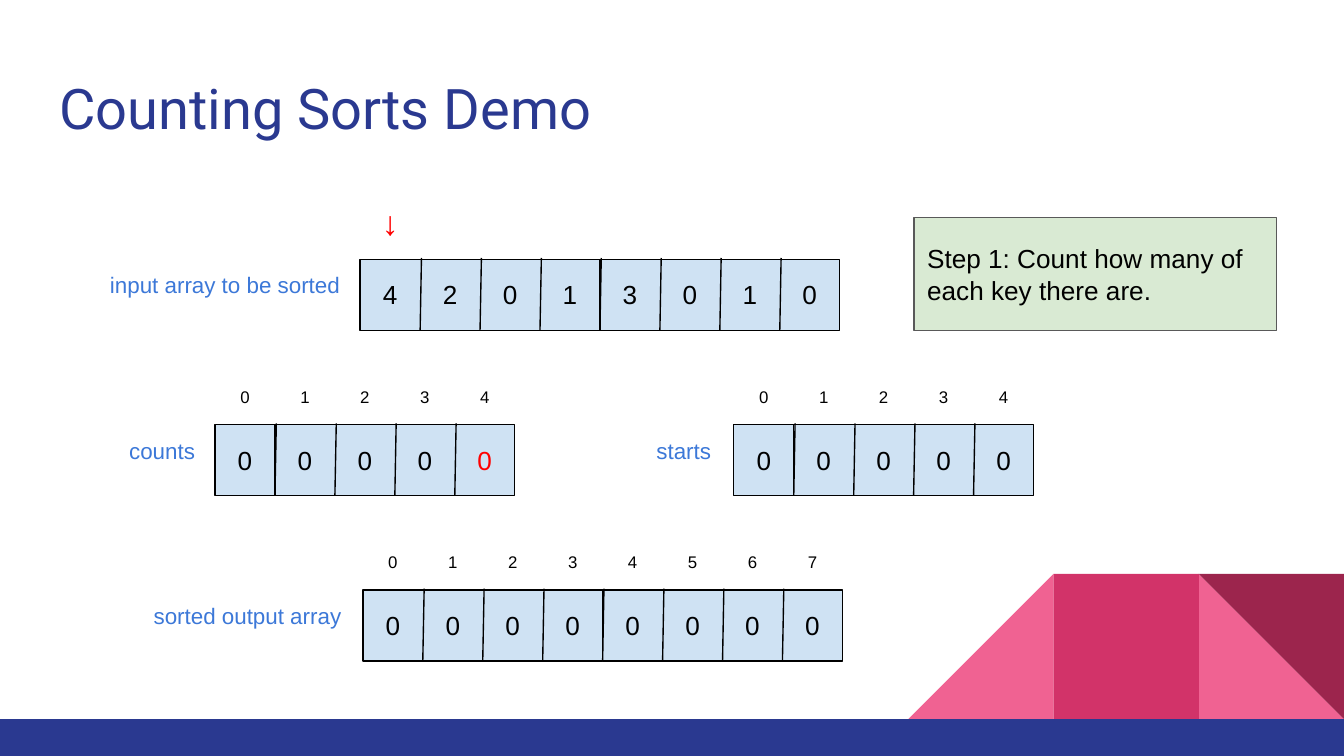
from lxml.etree import SubElement
from pptx import Presentation
from pptx.dml.color import RGBColor
from pptx.enum.shapes import MSO_CONNECTOR, MSO_SHAPE
from pptx.enum.text import MSO_ANCHOR, PP_ALIGN
from pptx.oxml.ns import qn
from pptx.util import Inches, Pt

WIDTH, HEIGHT = 10, 5.625
CELL_W, CELL_H = 0.446, 0.53
BAND_CELLS = 4
ROW_TOPS = [1.93 + 1.23 * row for row in range(3)]
FACET = 1.08
COLORS = {
    "navy": "2A3990", "pink": "F06292", "rose": "D23369", "wine": "9C254D",
    "cell": "CFE2F3", "label": "3C78D8", "note": "D9EAD3", "note_edge": "595959",
    "black": "000000", "red": "FF0000",
}


def rgb(name):
    return RGBColor.from_string(COLORS[name])


def write(shape, text, size=14, color="black", font="Arial",
          align=PP_ALIGN.LEFT, anchor=MSO_ANCHOR.TOP):
    """Put formatted text into a shape."""
    frame = shape.text_frame
    frame.word_wrap = True
    frame.vertical_anchor = anchor
    frame.margin_left = frame.margin_right = Inches(0.1)
    frame.margin_top = frame.margin_bottom = Inches(0.1)
    paragraph = frame.paragraphs[0]
    paragraph.alignment = align
    run = paragraph.add_run()
    run.text = text
    run.font.name = font
    run.font.size = Pt(size)
    run.font.color.rgb = rgb(color)


def add_text(slide, text, left, top, width, height, **style):
    box = slide.shapes.add_textbox(*map(Inches, (left, top, width, height)))
    write(box, text, **style)


def add_block(slide, kind, left, top, width, height, fill, edge=None):
    block = slide.shapes.add_shape(kind, *map(Inches, (left, top, width, height)))
    block.shadow.inherit = False
    block.fill.solid()
    block.fill.fore_color.rgb = rgb(fill)
    if edge:
        block.line.color.rgb = rgb(edge)
        block.line.width = Pt(0.75)
    else:
        block.line.fill.background()
    return block


def add_divider(slide, x, top):
    divider = slide.shapes.add_connector(
        MSO_CONNECTOR.STRAIGHT,
        *map(Inches, (x + 0.01, top - 0.01, x, top + CELL_H)))
    divider.line.color.rgb = rgb("black")
    divider.line.width = Pt(0.75)
    SubElement(divider._element.spPr, qn("a:effectLst"))


def add_array(slide, label, values, left, top, label_left, label_width,
              indexed=True, red_cell=None):
    """Draw a labelled row of cells, with index numbers above if wanted."""
    count = len(values)
    for first in (0, count - BAND_CELLS):
        add_block(slide, MSO_SHAPE.RECTANGLE, left + first * CELL_W, top,
                  BAND_CELLS * CELL_W, CELL_H, "cell", "black")
    for index in range(1, count):
        add_divider(slide, left + index * CELL_W, top)
    for index, value in enumerate(values):
        x = left + index * CELL_W
        add_text(slide, str(value), x, top - 0.01, CELL_W, 0.54,
                 color="red" if index == red_cell else "black",
                 align=PP_ALIGN.CENTER, anchor=MSO_ANCHOR.MIDDLE)
        if indexed:
            add_text(slide, str(index), x, top - 0.36, CELL_W, 0.35,
                     size=9, align=PP_ALIGN.CENTER)
    add_text(slide, label, label_left, top - 0.01, label_width, 0.54,
             size=12, color="label", align=PP_ALIGN.RIGHT)


def add_decoration(slide):
    """Draw the corner facets and the bottom bar."""
    bar_top = 5.35
    top = bar_top - FACET
    lefts = [WIDTH - FACET * step for step in (3, 2, 1)]
    triangle = MSO_SHAPE.RIGHT_TRIANGLE
    add_block(slide, triangle, lefts[2], top, FACET, FACET, "pink")
    rising = add_block(slide, triangle, lefts[0], top, FACET, FACET, "pink")
    rising._element.spPr.xfrm.set("flipH", "1")
    add_block(slide, MSO_SHAPE.RECTANGLE, lefts[1], top, FACET, FACET, "rose")
    corner = add_block(slide, triangle, lefts[2], top, FACET, FACET, "wine")
    corner.rotation = 180
    add_block(slide, MSO_SHAPE.RECTANGLE, 0, bar_top, WIDTH, HEIGHT - bar_top, "navy")


def add_title(slide, text):
    title = slide.shapes.title
    title.left, title.top = Inches(0.34), Inches(0.45)
    title.width, title.height = Inches(9.32), Inches(0.66)
    write(title, text, size=30, color="navy", font="Roboto")


def main():
    deck = Presentation()
    deck.slide_width, deck.slide_height = Inches(WIDTH), Inches(HEIGHT)
    slide = deck.slides.add_slide(deck.slide_layouts[5])
    add_decoration(slide)
    add_title(slide, "Counting Sorts Demo")

    # Arrays
    input_row, key_row, output_row = ROW_TOPS
    input_left = 2.68
    add_array(slide, "input array to be sorted", [4, 2, 0, 1, 3, 0, 1, 0],
              input_left, input_row, 0.49, 2.14, indexed=False)
    add_array(slide, "counts", [0] * 5, 1.6, key_row, 0.49, 1.06, red_cell=4)
    add_array(slide, "starts", [0] * 5, 5.46, key_row, 4.33, 1.06)
    add_array(slide, "sorted output array", [0] * 8, 2.7, output_row, 0.76, 1.88)

    # Current position and step note
    add_text(slide, "↓", input_left, 1.38, CELL_W, 0.54, size=18, color="red",
             align=PP_ALIGN.CENTER, anchor=MSO_ANCHOR.MIDDLE)
    step_note = add_block(slide, MSO_SHAPE.RECTANGLE, 6.8, 1.62, 2.7, 0.84,
                          "note", "note_edge")
    write(step_note, "Step 1: Count how many of each key there are.",
          anchor=MSO_ANCHOR.MIDDLE)

    deck.save("out.pptx")


if __name__ == "__main__":
    main()
